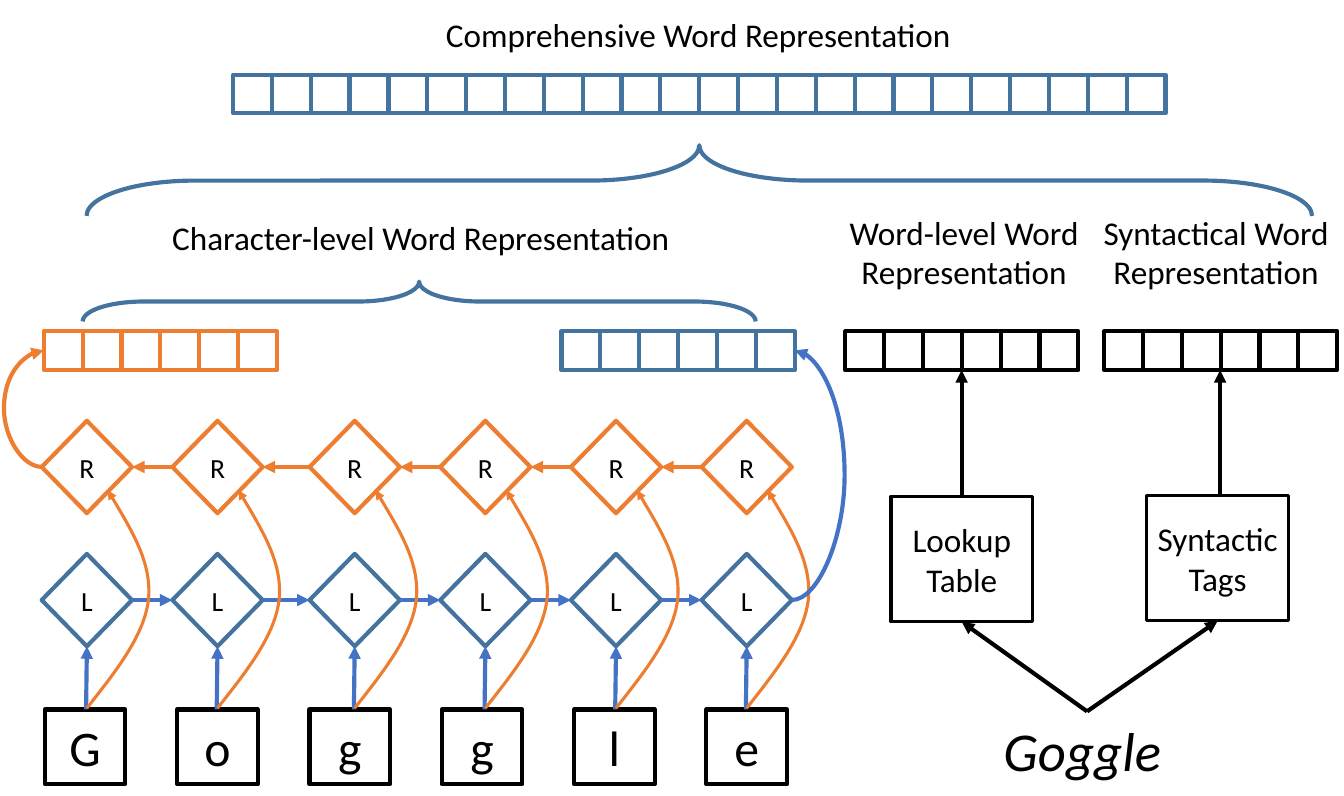
from pptx import Presentation
from pptx.dml.color import RGBColor
from pptx.enum.shapes import MSO_CONNECTOR, MSO_SHAPE
from pptx.enum.text import MSO_ANCHOR, MSO_AUTO_SIZE, PP_ALIGN
from pptx.oxml.xmlchemy import OxmlElement
from pptx.util import Pt

COLORS = {"black": "000000", "steel": "43739E", "blue": "4472C4", "orange": "ED7D31"}
FONT = "Calibri"

# Content
WORD = "Goggle"
LABELS = [  # text, left, top, width, height, centred
    ("Comprehensive Word Representation", 315.4, 7.2, 394.6, 36, False),
    ("Character-level Word Representation", 117.4, 153.4, 383, 36, False),
    ("Word-level Word Representation", 606.2, 149.8, 182.2, 65.5, True),
    ("Syntactical Word Representation", 788.4, 149.8, 182.2, 65.5, True),
]
VECTORS = [  # left, top, cells, colour
    (168.5, 54, 24, "steel"),
    (31.7, 239.8, 6, "orange"),
    (406.1, 239.8, 6, "steel"),
    (611.3, 239.8, 6, "black"),
    (798.5, 239.8, 6, "black"),
]
BRACES = [(62.6, 105.1, 886.3, 51.1), (59.8, 203.8, 486.7, 28.8)]  # left, top, width, height
SOURCES = [("Lookup Table", 644.4, 359.3, 695.5), ("Syntactic Tags", 829.4, 358.6, 882.4)]
LAYERS = [("L", 400.8, "steel", "blue"), ("R", 304.5, "orange", "orange")]

# Measures
CELL = 28.1
DIAMOND_WIDTH, DIAMOND_HEIGHT = 65.3, 66.9
LETTER_TOP, LETTER_STEP = 513.4, 95.7
SOURCE_WIDTH, SOURCE_HEIGHT = 102.4, 90.7
FORK = (786.2, 514.8)
# Offsets of the long curves from the letter: start, then two Bezier segments
BEND = [(15.1, -157.7), (31, -131), (46.8, -105.1), (44.6, -79.2),
        (41.8, -52.6), (20.9, -26.6), (0, 0)]

presentation = Presentation()
presentation.slide_width, presentation.slide_height = Pt(972), Pt(576)
slide = presentation.slides.add_slide(presentation.slide_layouts[6])


def rgb(color):
    return RGBColor.from_string(COLORS[color])


def write(shape, text, size=24, italic=False, centred=True, inset=0):
    frame = shape.text_frame
    frame.word_wrap = True
    frame.margin_left = frame.margin_right = Pt(inset)
    paragraph = frame.paragraphs[0]
    paragraph.alignment = PP_ALIGN.CENTER if centred else PP_ALIGN.LEFT
    run = paragraph.add_run()
    run.text = text
    run.font.name, run.font.size, run.font.italic = FONT, Pt(size), italic
    run.font.color.rgb = rgb("black")


def add_label(text, left, top, width, height, **text_format):
    box = slide.shapes.add_textbox(Pt(left), Pt(top), Pt(width), Pt(height))
    write(box, text, inset=7.2, **text_format)
    box.text_frame.auto_size = MSO_AUTO_SIZE.SHAPE_TO_FIT_TEXT


def outline(shape, color, weight):
    shape.shadow.inherit = False
    shape.fill.background()
    shape.line.color.rgb = rgb(color)
    shape.line.width = Pt(weight)


def add_outlined(kind, left, top, width, height, color, weight=3, parent=slide):
    shape = parent.shapes.add_shape(kind, Pt(left), Pt(top), Pt(width), Pt(height))
    outline(shape, color, weight)
    shape.text_frame.vertical_anchor = MSO_ANCHOR.MIDDLE
    return shape


def add_arrowhead(shape, end):
    head = OxmlElement(f"a:{end}")
    head.set("type", "triangle")
    shape.line._get_or_add_ln().append(head)


def add_arrow(start, end, color, bulge_x=None):
    kind = MSO_CONNECTOR.STRAIGHT if bulge_x is None else MSO_CONNECTOR.CURVE
    arrow = slide.shapes.add_connector(kind, *(Pt(value) for value in (*start, *end)))
    arrow.line.color.rgb = rgb(color)
    arrow.line.width = Pt(3)
    add_arrowhead(arrow, "tailEnd")
    arrow._element.spPr.append(OxmlElement("a:effectLst"))
    if bulge_x is not None:
        guide = OxmlElement("a:gd")
        guide.set("name", "adj1")
        ratio = (bulge_x - start[0]) / (end[0] - start[0])
        guide.set("fmla", f"val {round(ratio * 100000)}")
        arrow._element.xpath(".//a:avLst")[0].append(guide)


def add_bend(x, y):
    points = [(Pt(x + dx), Pt(y + dy)) for dx, dy in BEND]
    builder = slide.shapes.build_freeform(*points[0])
    builder.add_line_segments(points[1:], close=False)
    bend = builder.convert_to_shape()
    # Turn each three straight segments into one Bezier segment
    segments = bend._element.xpath(".//a:lnTo")
    for first in range(0, len(segments), 3):
        curve = OxmlElement("a:cubicBezTo")
        segments[first].addprevious(curve)
        for segment in segments[first:first + 3]:
            curve.append(segment[0])
            segment.getparent().remove(segment)
    outline(bend, "orange", 2.25)
    add_arrowhead(bend, "headEnd")


# Vectors
for left, top, count, color in VECTORS:
    group = slide.shapes.add_group_shape()
    for index in range(count):
        add_outlined(MSO_SHAPE.RECTANGLE, left + index * CELL, top, CELL, CELL, color, parent=group)

# Letters of the word
for index, letter in enumerate(WORD):
    box = add_outlined(MSO_SHAPE.RECTANGLE, 32.4 + index * LETTER_STEP, LETTER_TOP, 58.3, 54, "black")
    write(box, letter, size=36)

# Two recurrent layers; the third column starts after a wider gap
lefts = [30.2 + 94.5 * index + (4.7 if index > 1 else 0) for index in range(len(WORD))]
for name, top, color, arrow_color in LAYERS:
    for left in lefts:
        diamond = add_outlined(MSO_SHAPE.DIAMOND, left, top, DIAMOND_WIDTH, DIAMOND_HEIGHT, color)
        write(diamond, name, size=20)
    middle = top + DIAMOND_HEIGHT / 2
    for left, following in zip(lefts, lefts[1:]):
        ends = [(left + DIAMOND_WIDTH, middle), (following, middle)]
        if name == "R":
            ends.reverse()
        add_arrow(*ends, arrow_color)

# Letters feed both layers
for left in lefts:
    center = left + DIAMOND_WIDTH / 2
    add_arrow((center - 0.6, LETTER_TOP), (center, LAYERS[0][1] + DIAMOND_HEIGHT), "blue")
    add_bend(center, LETTER_TOP - 1)

# Last states feed the character vectors
add_arrow((lefts[0], 337.9), (31.7, 253.6), "orange", bulge_x=2.9)
add_arrow((lefts[-1] + DIAMOND_WIDTH, 434.2), (574.7, 253.6), "blue", bulge_x=610.6)

# Word-level and syntactic branches
for text, left, top, vector_x in SOURCES:
    box = add_outlined(MSO_SHAPE.RECTANGLE, left, top, SOURCE_WIDTH, SOURCE_HEIGHT, "black", 2.25)
    write(box, text)
    add_arrow(FORK, (left + SOURCE_WIDTH / 2, top + SOURCE_HEIGHT), "black")
    add_arrow((vector_x, top), (vector_x, 239.8 + CELL), "black")
add_label(WORD, 718.6, 514.8, 136.1, 55.4, size=39.6, italic=True, centred=False)

# Braces, turned to point upwards
for left, top, width, height in BRACES:
    shift = (width - height) / 2
    brace = add_outlined(MSO_SHAPE.LEFT_BRACE, left + shift, top - shift, height, width, "steel")
    brace.rotation = 90
    brace.adjustments[0] = 1.535

# Labels
for text, left, top, width, height, centred in LABELS:
    add_label(text, left, top, width, height, centred=centred)

presentation.save("out.pptx")
